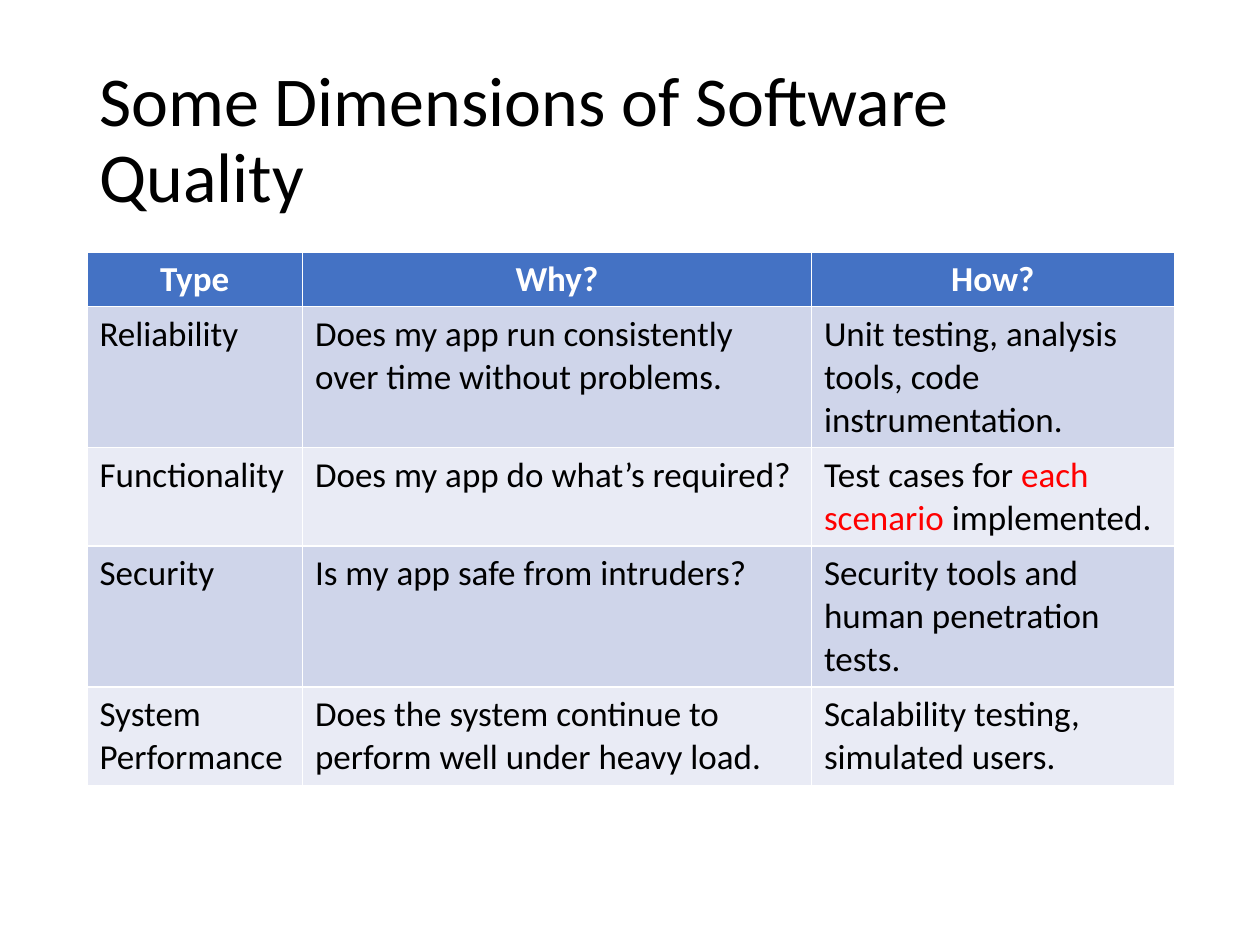
import pptx
import pptx.dml.color
import pptx.enum.text
import pptx.util

Inches = pptx.util.Inches
Pt = pptx.util.Pt
RGBColor = pptx.dml.color.RGBColor
ALIGN = pptx.enum.text.PP_ALIGN
ANCHOR = pptx.enum.text.MSO_ANCHOR

BLACK = RGBColor(0x00, 0x00, 0x00)
WHITE = RGBColor(0xFF, 0xFF, 0xFF)
RED = RGBColor(0xFF, 0x00, 0x00)
HEADER_BLUE = RGBColor(0x44, 0x72, 0xC4)
BANDS = (RGBColor(0xE9, 0xEB, 0xF5), RGBColor(0xCF, 0xD5, 0xEA))

TITLE_FORMAT = {"name": "Calibri", "size": Pt(40), "bold": False}
HEADER_FORMAT = {"name": "Calibri", "size": Pt(20), "bold": True}
BODY_FORMAT = {"name": "Calibri", "size": Pt(20), "bold": False}

COLUMN_WIDTHS = (1.71, 4.04, 2.88)
ROW_HEIGHTS = (0.43, 1.12, 0.78, 1.12, 0.78)
EMPHASIS = "each scenario"
QUALITY_ROWS = (
    ("Type", "Why?", "How?"),
    ("Reliability",
     "Does my app run consistently over time without problems.",
     "Unit testing, analysis tools, code instrumentation."),
    ("Functionality",
     "Does my app do what’s required?",
     "Test cases for each scenario implemented."),
    ("Security",
     "Is my app safe from intruders?",
     "Security tools and human penetration tests."),
    ("System\nPerformance",
     "Does the system continue to perform well under heavy load.",
     "Scalability testing, simulated users."),
)


def add_span(para, text, format_values, color):
    """Append a formatted run to a paragraph."""
    span = para.add_run()
    span.text = text
    for name, value in format_values.items():
        setattr(span.font, name, value)
    span.font.color.rgb = color


def write_text(para, text, format_values, color):
    """Write text with its line breaks, showing the emphasised words in red."""
    for number, line in enumerate(text.split("\n")):
        if number:
            para.add_line_break()
        before, emphasis, after = line.partition(EMPHASIS)
        for part, part_color in ((before, color), (emphasis, RED), (after, color)):
            if part:
                add_span(para, part, format_values, part_color)


def add_title(page, left, top, width, height):
    """Place the page title, centred vertically in its box."""
    box = page.shapes.add_textbox(left, top, width, height)
    frame = box.text_frame
    frame.word_wrap = True
    frame.vertical_anchor = ANCHOR.MIDDLE
    para = frame.paragraphs[0]
    para.line_spacing = 0.9
    write_text(para, "Some Dimensions of Software Quality", TITLE_FORMAT, BLACK)


def add_quality_table(page, left, top, width, height):
    """Place the table of quality dimensions with a header and banded rows."""
    table = page.shapes.add_table(
        len(QUALITY_ROWS), len(COLUMN_WIDTHS), left, top, width, height).table
    for column, column_width in zip(table.columns, COLUMN_WIDTHS):
        column.width = Inches(column_width)
    for row_number, texts in enumerate(QUALITY_ROWS):
        is_header = row_number == 0
        table.rows[row_number].height = Inches(ROW_HEIGHTS[row_number])
        for cell, text in zip(table.rows[row_number].cells, texts):
            cell.fill.solid()
            cell.fill.fore_color.rgb = HEADER_BLUE if is_header else BANDS[row_number % 2]
            para = cell.text_frame.paragraphs[0]
            para.alignment = ALIGN.CENTER if is_header else ALIGN.LEFT
            write_text(para, text, HEADER_FORMAT if is_header else BODY_FORMAT,
                       WHITE if is_header else BLACK)


def main():
    """Build the deck and save it."""
    deck = pptx.Presentation()
    deck.slide_width, deck.slide_height = Inches(10), Inches(7.5)
    page = deck.slides.add_slide(deck.slide_layouts[6])
    left, width = Inches(0.69), Inches(8.62)
    add_title(page, left, Inches(0.4), width, Inches(1.45))
    add_quality_table(page, left, Inches(2), width, Inches(sum(ROW_HEIGHTS)))
    deck.save("out.pptx")


if __name__ == "__main__":
    main()
